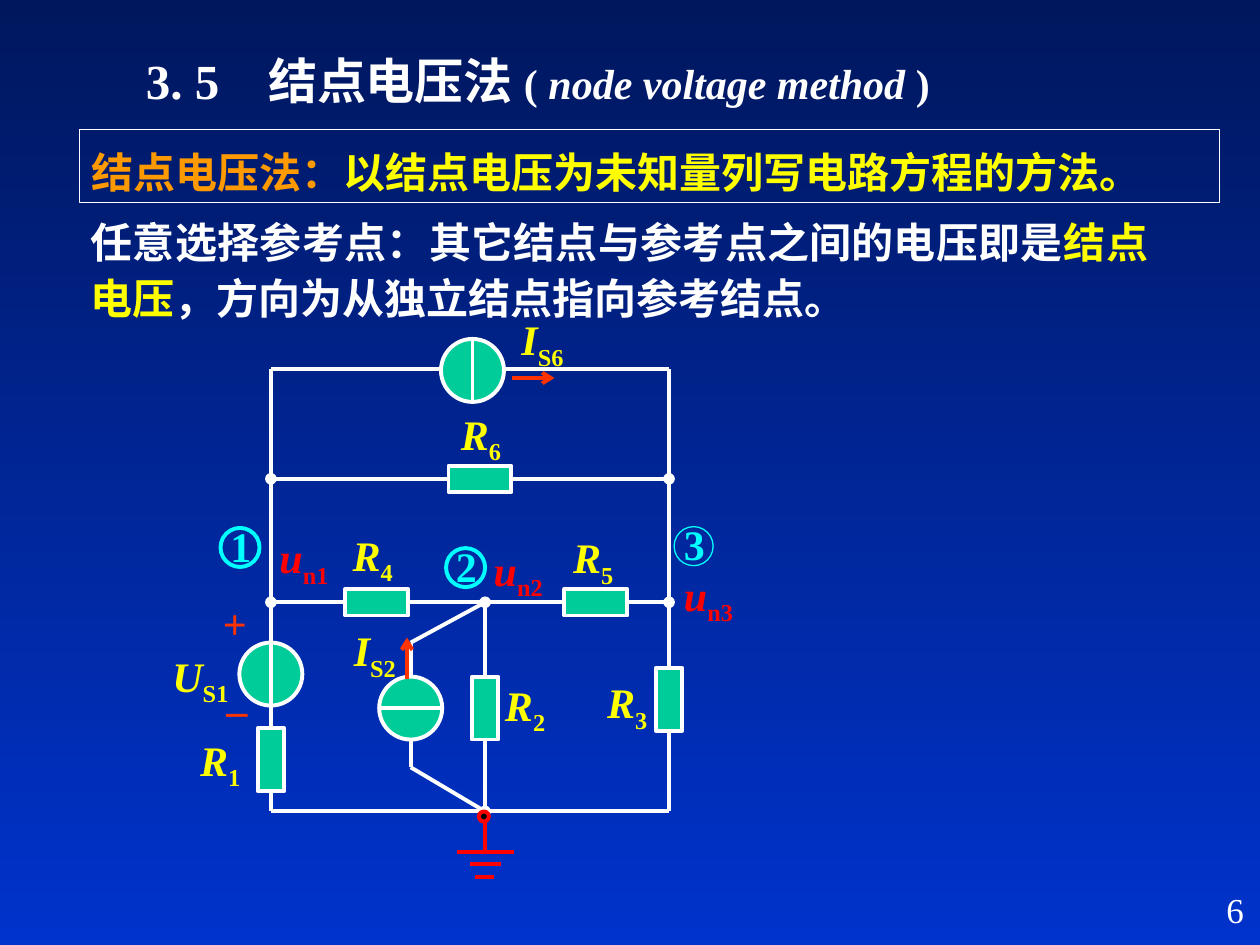
import pptx
import pptx.dml.color
import pptx.enum.shapes
import pptx.enum.text
import pptx.oxml
import pptx.oxml.ns
import pptx.util
from pptx.util import Inches

COLORS = {
    "top": "00175E", "bottom": "0033CC", "white": "FFFFFF", "yellow": "FFFF00",
    "orange": "FF9900", "cyan": "00FFFF", "green": "00CC99", "red": "FF0000",
    "signal": "FF3300", "black": "000000",
}
RGB = {name: pptx.dml.color.RGBColor.from_string(code) for name, code in COLORS.items()}
KIND = pptx.enum.shapes.MSO_SHAPE
ALIGN = pptx.enum.text.PP_ALIGN
ANCHOR = pptx.enum.text.MSO_ANCHOR
DRAWING_NS = pptx.oxml.ns.nsdecls("a")

presentation = pptx.Presentation()
presentation.slide_width, presentation.slide_height = Inches(10), Inches(7.5)
slide = presentation.slides.add_slide(presentation.slide_layouts[6])

# Background gradient, top to bottom
backdrop = slide.background.fill
backdrop.gradient()
backdrop.gradient_angle = 270
for stop, name in zip(backdrop.gradient_stops, ("top", "bottom")):
    stop.color.rgb = RGB[name]


def add_shape(kind, at, fill=None, line="white", width=2.25):
    shape = slide.shapes.add_shape(kind, *map(Inches, at))
    shape.shadow.inherit = False
    if fill:
        shape.fill.solid()
        shape.fill.fore_color.rgb = RGB[fill]
    else:
        shape.fill.background()
    shape.line.color.rgb = RGB[line]
    shape.line.width = pptx.util.Pt(width)
    return shape


def add_line(start, end, color="white", head=None, tail=None):
    line = slide.shapes.add_connector(
        pptx.enum.shapes.MSO_CONNECTOR.STRAIGHT, *map(Inches, (*start, *end)))
    line.line.color.rgb = RGB[color]
    line.line.width = pptx.util.Pt(2.25)
    outline = line.line._get_or_add_ln()
    for tag, end_type in (("headEnd", head), ("tailEnd", tail)):
        if end_type:
            outline.append(pptx.oxml.parse_xml(f'<a:{tag} {DRAWING_NS} type="{end_type}"/>'))
    line._element.spPr.append(pptx.oxml.parse_xml(f"<a:effectLst {DRAWING_NS}/>"))
    return line


# Frame of the definition
definition = add_shape(KIND.RECTANGLE, (0.63, 1.03, 9.05, 0.58), width=0.75)

# Circuit nodes: three columns, and rows from the top branch to the ground
left, middle, right = 2.15, 3.85, 5.31
top, upper, nodes, bottom = 2.93, 3.8, 4.78, 6.44
source_x = 3.26
long_side, short_side = 0.5, 0.21

# R4 with the two wires joined to its ends
r4 = add_shape(KIND.RECTANGLE, (2.74, nodes - short_side / 2, long_side, short_side), "green")
for node_x, side in ((left, 1), (right, 3)):
    add_line((3, nodes), (node_x, nodes), tail="oval").begin_connect(r4, side)

# Wires
for start, end in (
    ((left, top), (left, bottom)), ((right, bottom), (right, top)),
    ((left, top), (right, top)), ((left, bottom), (right, bottom)),
    ((middle, nodes), (source_x, 5.1)), ((source_x, 5.1), (source_x, 6.09)),
    ((middle, bottom), (source_x, 6.09)),
):
    add_line(start, end)
for start, end in (((left, upper), (right, upper)), ((middle, nodes), (middle, bottom))):
    add_line(start, end, head="oval", tail="oval")

# Other resistors, by centre: three upright, two lying
for x, y, width, height in (
    (left, 6.03, short_side, long_side), (middle, 5.62, short_side, long_side),
    (right, 5.55, short_side, long_side), (3.81, upper, long_side, short_side),
    (4.73, nodes, long_side, short_side),
):
    add_shape(KIND.RECTANGLE, (x - width / 2, y - height / 2, width, height), "green")

# Sources, by centre, each with its inner bar
for x, y, half_width, half_height in (
    (left, 5.35, 0, 0.25), (3.75, 2.94, 0, 0.25), (source_x, 5.62, 0.25, 0),
):
    add_shape(KIND.OVAL, (x - 0.25, y - 0.25, 0.5, 0.5), "green")
    add_line((x - half_width, y - half_height), (x + half_width, y + half_height))

# Current directions
add_line((4.06, 3), (4.4, 3), "signal", tail="arrow")
add_line((3.23, 5.39), (3.23, 5.06), "signal", tail="arrow")

# Ground
for start_x, end_x, y in ((3.63, 4.08, 6.76), (3.73, 3.98, 6.86), (3.77, 3.92, 6.96)):
    add_line((start_x, y), (end_x, y), "red")
add_line((middle, 6.48), (middle, 6.78), "red")
add_shape(KIND.OVAL, (3.8, 6.44, 0.08, 0.08), "black", "red")

# Texts: place, alignment, anchor, line spacing, size, runs (text, colour, changes)
texts = [
    ((1.06, 0.32, 7.89, 0.63), ALIGN.LEFT, ANCHOR.MIDDLE, None, 24,
     [("3. 5\t结点电压法 ", "white", {"size": 28}), ("( ", "white", {}),
      ("node voltage method ", "white", {"italic": True}), (")", "white", {})]),
    (None, ALIGN.LEFT, ANCHOR.TOP, 1.2, 24,
     [("结点电压法：", "orange", {}),
      ("以结点电压为未知量列写电路方程的方法。", "yellow", {})]),
    ((0.62, 1.63, 8.59, 0.98), ALIGN.JUSTIFY, ANCHOR.TOP, 1.1, 24,
     [("任意选择参考点：其它结点与参考点之间的电压即是", "white", {}),
      ("结点电压", "yellow", {}), ("，方向为从独立结点指向参考结点。", "white", {})]),
    ((7.89, 7, 2.08, 0.5), ALIGN.RIGHT, ANCHOR.TOP, None, 20,
     [("6", "white", {"bold": False})]),
]

# Polarity signs
for sign, x, y in (("+", 1.67, 4.69), ("_", 1.69, 5.26)):
    texts.append(((x, y, 0.38, 0.5), ALIGN.CENTER, ANCHOR.MIDDLE, None, 24,
                  [(sign, "signal", {})]))

# Circled node numbers
for number, x, y, ring_width in (("1", 1.73, 4.08, 2.25), ("2", 3.52, 4.24, 2.25),
                                 ("3", 5.33, 4.07, 0.75)):
    add_shape(KIND.OVAL, (x + 0.02, y + 0.11, 0.31, 0.31), line="cyan", width=ring_width)
    texts.append(((x, y, 0.38, 0.5), ALIGN.LEFT, ANCHOR.TOP, None, 24,
                  [(number, "cyan", {})]))

# Symbols with subscripts
for symbol, index, x, y, width, color in (
    ("U", "S1", 1.27, 5.11, 0.72, "yellow"), ("R", "1", 1.49, 5.78, 0.56, "yellow"),
    ("R", "2", 3.91, 5.34, 0.56, "yellow"), ("R", "3", 4.72, 5.32, 0.56, "yellow"),
    ("R", "4", 2.7, 4.15, 0.56, "yellow"), ("R", "5", 4.45, 4.17, 0.56, "yellow"),
    ("R", "6", 3.56, 3.19, 0.56, "yellow"), ("I", "S6", 4.04, 2.44, 0.62, "yellow"),
    ("I", "S2", 2.71, 4.91, 0.62, "yellow"), ("u", "n1", 2.12, 4.17, 0.66, "red"),
    ("u", "n2", 3.82, 4.27, 0.72, "red"), ("u", "n3", 5.33, 4.47, 0.71, "red"),
):
    texts.append(((x, y, width, 0.56), ALIGN.LEFT, ANCHOR.TOP, None, 24,
                  [(symbol, color, {"italic": True}), (index, color, {"baseline": -25000})]))

for place, align, anchor, spacing, size, runs in texts:
    holder = slide.shapes.add_textbox(*map(Inches, place)) if place else definition
    frame = holder.text_frame
    frame.word_wrap = True
    frame.vertical_anchor = anchor
    paragraph = frame.paragraphs[0]
    paragraph.alignment = align
    if spacing:
        paragraph.line_spacing = spacing
    if "\t" in runs[0][0]:
        paragraph._p.get_or_add_pPr().append(pptx.oxml.parse_xml(
            f'<a:tabLst {DRAWING_NS}><a:tab pos="{Inches(0.97)}" algn="l"/></a:tabLst>'))
    for words, color, changes in runs:
        run = paragraph.add_run()
        run.text = words
        run.font.name = "Times New Roman"
        run.font.size = pptx.util.Pt(changes.get("size", size))
        run.font.bold = changes.get("bold", True)
        run.font.italic = changes.get("italic", False)
        run.font.color.rgb = RGB[color]
        if "baseline" in changes:
            run._r.get_or_add_rPr().set("baseline", str(changes["baseline"]))

presentation.save("out.pptx")
